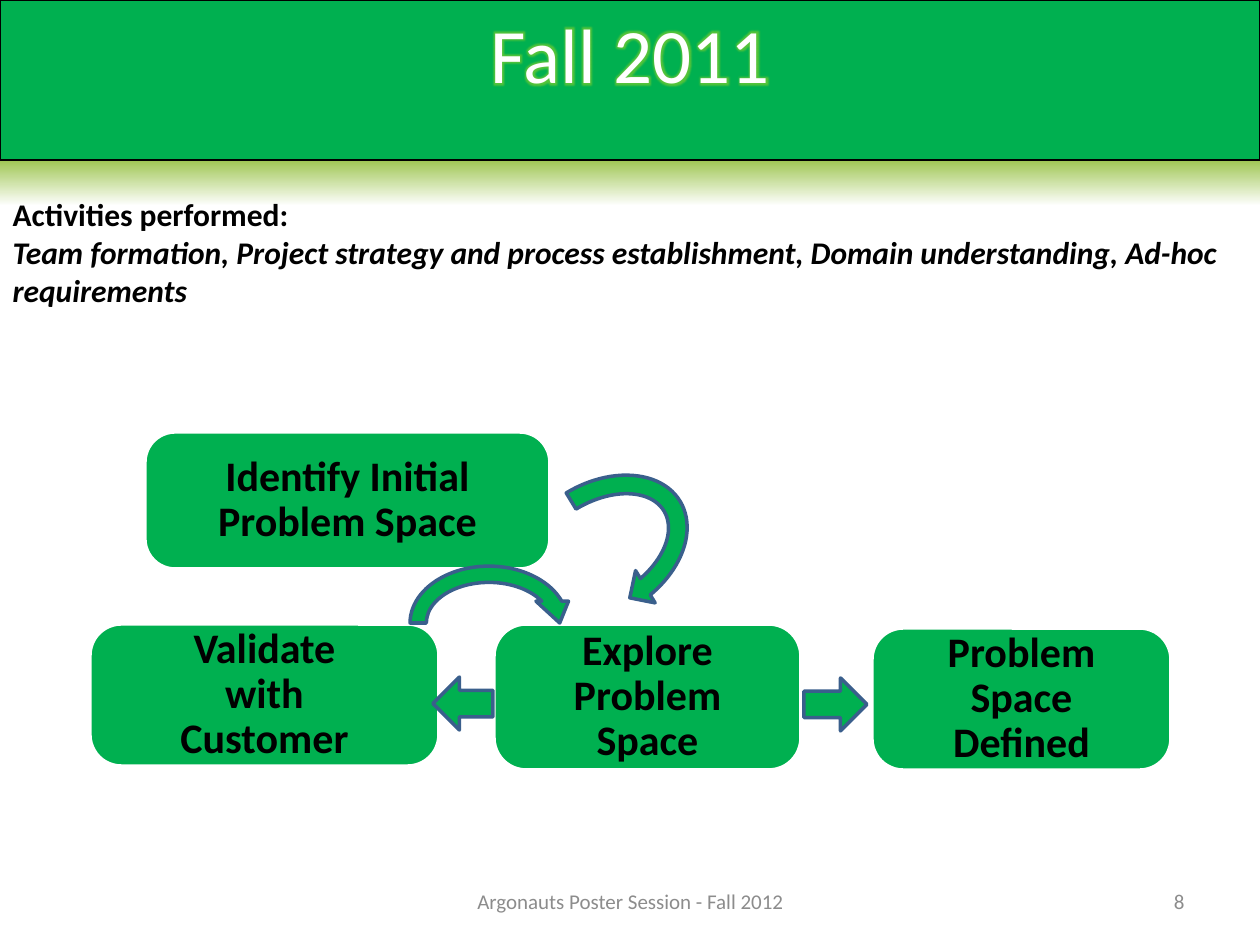
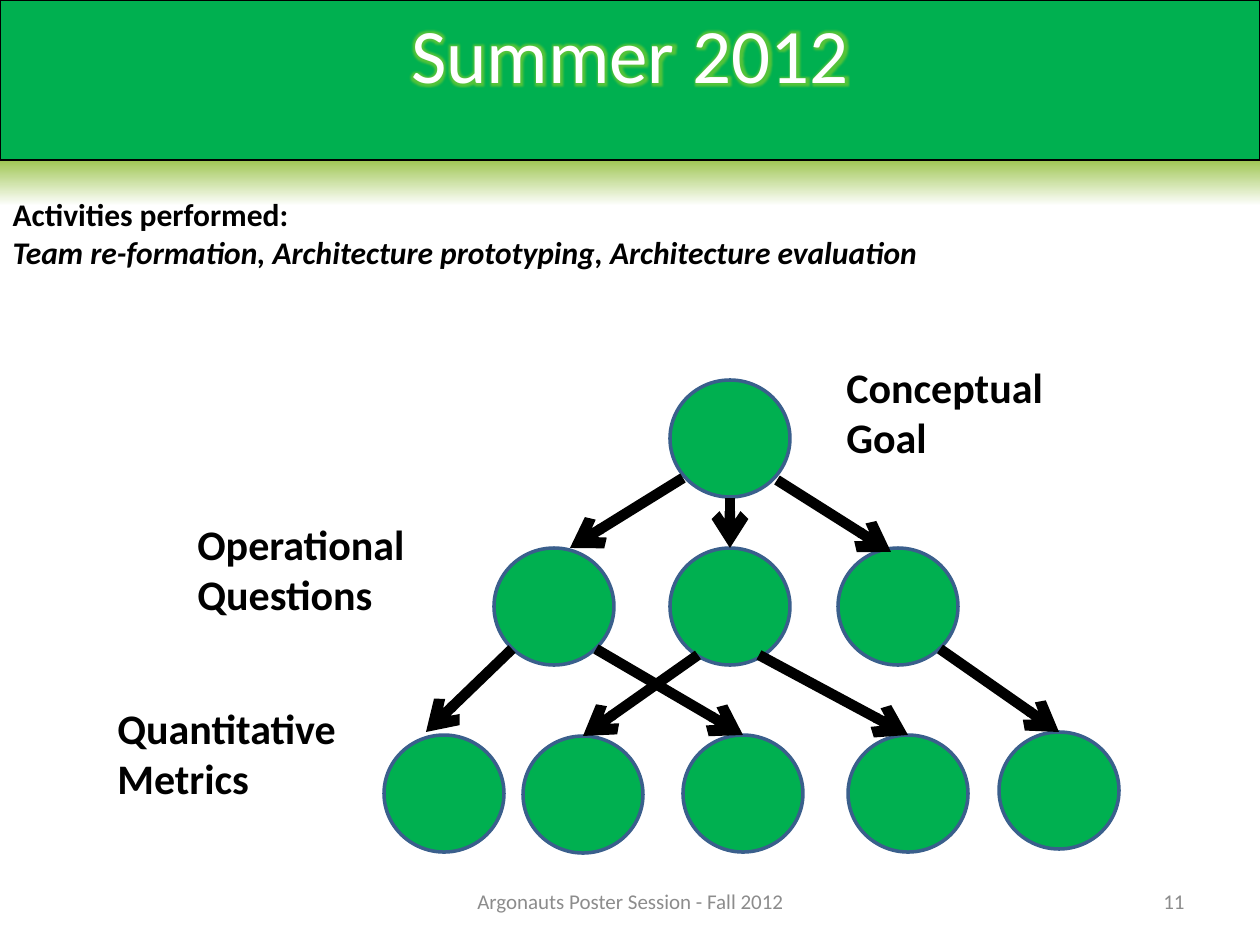
import pptx
import pptx.dml.color
import pptx.enum.shapes
import pptx.enum.text
import pptx.oxml.ns
import pptx.util
from lxml import etree

PX_PER_INCH = 126
FONT = "Calibri"
GREEN, OUTLINE, GLOW, FADE = "00B050", "3A5F8C", "55C43A", "9FC653"
WHITE, BLACK, GREY = "FFFFFF", "000000", "8C8C8C"
SLIDE_W, SLIDE_H, BAND_H, FADE_H = 1260, 945, 160, 46
ACTIVITIES_TOP, ACTIVITIES_W = 189, 1250
NODE_W, NODE_H = 120, 117
FOOTER = "Argonauts Poster Session - Fall 2012"
SHAPE = pptx.enum.shapes.MSO_SHAPE
ALIGN = pptx.enum.text.PP_ALIGN
ANCHOR = pptx.enum.text.MSO_ANCHOR
qn = pptx.oxml.ns.qn


def px(length):
    """Turn pixels into EMU."""
    return pptx.util.Emu(round(length * 914400 / PX_PER_INCH))


def colour(value):
    """Turn a hex string into a colour."""
    return pptx.dml.color.RGBColor.from_string(value)


def place(part, left, top, width, height):
    """Move and size a shape, given in pixels."""
    part.left, part.top, part.width, part.height = map(px, (left, top, width, height))


def paint(part, line, weight):
    """Give a shape the green fill and an outline."""
    part.fill.solid()
    part.fill.fore_color.rgb = colour(GREEN)
    part.line.color.rgb = colour(line)
    part.line.width = pptx.util.Pt(weight)


def add_run(paragraph, wording, size, ink=BLACK, bold=False, italic=False):
    """Add one formatted run and return it."""
    run = paragraph.add_run()
    run.text = wording
    font = run.font
    font.name, font.size = FONT, pptx.util.Pt(size)
    font.bold, font.italic = bold, italic
    font.color.rgb = colour(ink)
    return run


def add_preset(slide, preset, box, line=OUTLINE, weight=2):
    """Add a green preset shape without shadow."""
    part = slide.shapes.add_shape(preset, *map(px, box))
    part.shadow.inherit = False
    paint(part, line, weight)
    return part


def add_label(slide, box, wording, size, ink=BLACK, bold=False,
              align=ALIGN.LEFT, anchor=ANCHOR.TOP):
    """Add a wrapping text box."""
    frame = slide.shapes.add_textbox(*map(px, box)).text_frame
    frame.word_wrap = True
    frame.vertical_anchor = anchor
    frame.paragraphs[0].alignment = align
    add_run(frame.paragraphs[0], wording, size, ink, bold)


def add_title_band(slide, wording):
    """Fill the title band, with glowing text and a fading strip below."""
    band = slide.shapes.title
    place(band, 0, 0, SLIDE_W, BAND_H)
    paint(band, BLACK, 0.75)
    frame = band.text_frame
    frame.auto_size = pptx.enum.text.MSO_AUTO_SIZE.NONE
    frame.vertical_anchor = ANCHOR.TOP
    frame.paragraphs[0].alignment = ALIGN.CENTER
    run = add_run(frame.paragraphs[0], wording, 44, WHITE)
    effects = etree.Element(qn("a:effectLst"))
    glow = etree.SubElement(effects, qn("a:glow"), rad=str(pptx.util.Pt(5)))
    etree.SubElement(glow, qn("a:srgbClr"), val=GLOW)
    run.font._element.find(qn("a:solidFill")).addnext(effects)

    fade = add_preset(slide, SHAPE.RECTANGLE, (0, BAND_H, SLIDE_W, FADE_H))
    fade.line.fill.background()
    fade.fill.gradient()
    fade.fill.gradient_angle = 270
    for stop, ink in zip(fade.fill.gradient_stops, (FADE, WHITE)):
        stop.color.rgb = colour(ink)
    slide.shapes._spTree.insert(2, fade._element)


def add_activities(slide, wording, height):
    """Write the activities heading and list in the body placeholder."""
    body = slide.placeholders[1]
    place(body, 0, ACTIVITIES_TOP, ACTIVITIES_W, height)
    frame = body.text_frame
    frame.auto_size = pptx.enum.text.MSO_AUTO_SIZE.NONE
    heading, activities = frame.paragraphs[0], frame.add_paragraph()
    for paragraph in (heading, activities):
        paragraph.space_before = pptx.util.Pt(0)
        properties = paragraph._p.get_or_add_pPr()
        properties.set("marL", "0")
        properties.set("indent", "0")
        etree.SubElement(properties, qn("a:buNone"))
    add_run(heading, "Activities performed:", 18, bold=True)
    add_run(activities, wording, 18, bold=True, italic=True)


def add_footer(slide, number):
    """Add the session name and the slide number."""
    add_label(slide, (431, 876, 399, 50), FOOTER, 12, GREY,
              align=ALIGN.CENTER, anchor=ANCHOR.MIDDLE)
    add_label(slide, (903, 876, 294, 50), number, 12, GREY,
              align=ALIGN.RIGHT, anchor=ANCHOR.MIDDLE)


def add_process(slide, left, top):
    """Draw the problem space steps and the arrows between them."""
    steps = [
        ("Identify Initial Problem Space", 55, 0, 405, 137),
        ("Explore Problem Space", 404, 192, 307, 146),
        ("Validate with Customer", 0, 192, 349, 142),
        ("Problem Space Defined", 782, 196, 299, 142),
    ]
    for wording, x, y, width, height in steps:
        step = add_preset(slide, SHAPE.ROUNDED_RECTANGLE,
                          (left + x, top + y, width, height), WHITE)
        step.adjustments[0] = 0.22
        frame = step.text_frame
        frame.word_wrap = True
        frame.vertical_anchor = ANCHOR.MIDDLE
        frame.margin_left = frame.margin_right = px(58)
        frame.margin_top = frame.margin_bottom = 0
        paragraph = frame.paragraphs[0]
        paragraph.alignment = ALIGN.CENTER
        paragraph.line_spacing = 0.9
        add_run(paragraph, wording, 24, bold=True)

    arrows = [
        (SHAPE.CIRCULAR_ARROW, 312, 126, 174, 130, 0),
        (SHAPE.CIRCULAR_ARROW, 435, 15, 151, 205, 58.8),
        (SHAPE.RIGHT_ARROW, 714, 246, 63, 53, 0),
        (SHAPE.RIGHT_ARROW, 343, 245, 60, 53, 180),
    ]
    for preset, x, y, width, height, turn in arrows:
        arrow = add_preset(slide, preset, (left + x, top + y, width, height))
        arrow.rotation = turn


def add_goal_tree(slide, left, top):
    """Draw the goal, its questions and metrics, with labels and links."""
    goal = [(565, 25)]
    questions = [(x, 193) for x in (389, 565, 733)]
    metrics = [(279, 380), (418, 381), (578, 380), (743, 380), (894, 377)]
    node_tops = {}
    for x, y in goal + questions + metrics:
        node_tops[x + NODE_W // 2, y] = add_preset(
            slide, SHAPE.OVAL, (left + x, top + y, NODE_W, NODE_H))

    labels = [
        ("Conceptual Goal", 729, 0, 300),
        ("Operational Questions", 80, 157, 275),
        ("Quantitative Metrics", 0, 341, 326),
    ]
    for wording, x, y, width in labels:
        add_label(slide, (left + x, top + y, width, 129), wording, 24, bold=True)

    links = [
        (578, 123, 465, 193), (625, 143, 625, 193), (672, 125, 786, 197),
        (407, 294, 321, 377), (491, 294, 638, 380), (593, 300, 478, 381),
        (654, 300, 803, 380), (835, 294, 954, 377),
    ]
    for x1, y1, x2, y2 in links:
        link = slide.shapes.add_connector(
            pptx.enum.shapes.MSO_CONNECTOR.STRAIGHT,
            px(left + x1), px(top + y1), px(left + x2), px(top + y2))
        if (x2, y2) in node_tops:
            link.end_connect(node_tops[x2, y2], 0)
        link.line.color.rgb = colour(BLACK)
        link.line.width = pptx.util.Pt(6)
        etree.SubElement(link.line._get_or_add_ln(), qn("a:tailEnd"), type="arrow")
        etree.SubElement(link._element.spPr, qn("a:effectLst"))


def add_term(deck, title, activities, activities_height, number):
    """Add a slide with everything the terms share."""
    slide = deck.slides.add_slide(deck.slide_layouts[1])
    add_title_band(slide, title)
    add_activities(slide, activities, activities_height)
    add_footer(slide, number)
    return slide


def main():
    """Build and save the two slides."""
    deck = pptx.Presentation()
    deck.slide_width, deck.slide_height = px(SLIDE_W), px(SLIDE_H)
    fall = add_term(
        deck, "Fall 2011",
        "Team formation, Project strategy and process establishment, "
        "Domain understanding, Ad-hoc requirements", 127, "8")
    add_process(fall, 90, 432)
    summer = add_term(
        deck, "Summer 2012",
        "Team re-formation, Architecture prototyping, Architecture evaluation",
        89, "11")
    add_goal_tree(summer, 105, 355)
    deck.save("out.pptx")


if __name__ == "__main__":
    main()
